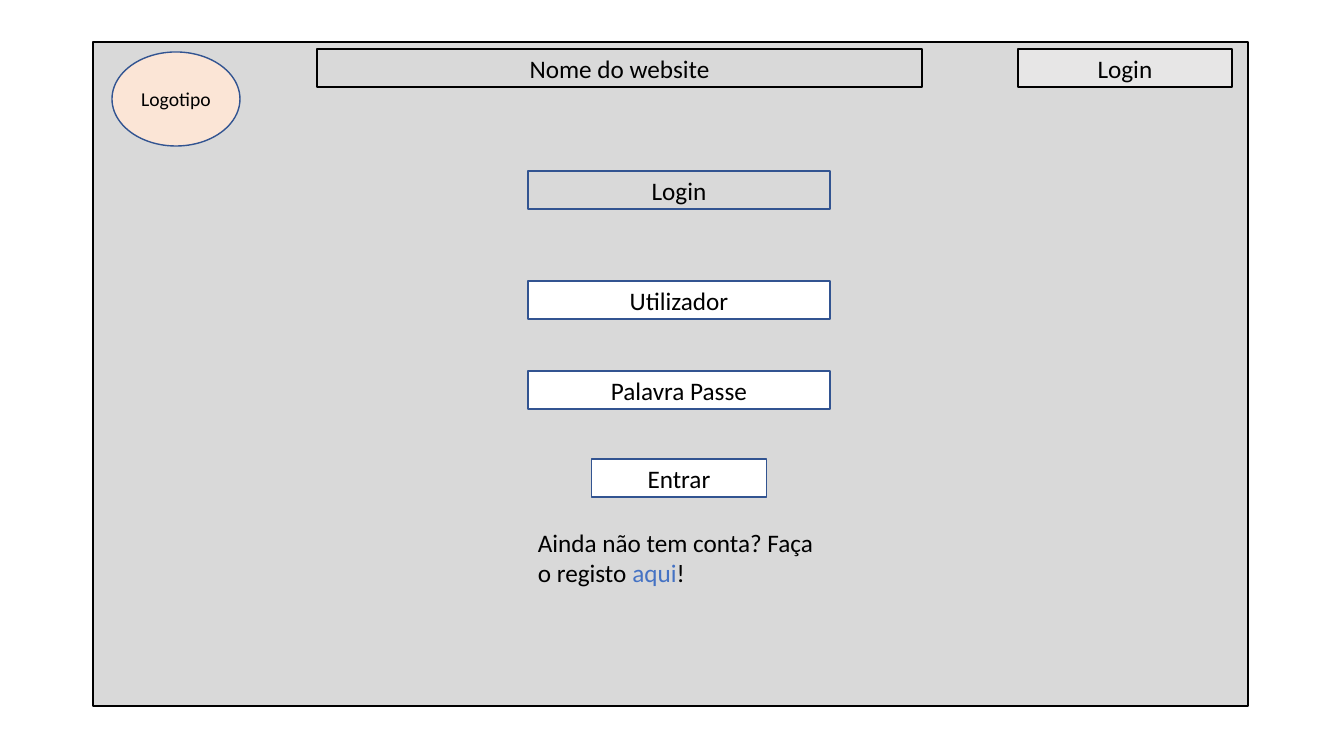
from pptx import Presentation
from pptx.dml.color import RGBColor
from pptx.enum.shapes import MSO_SHAPE
from pptx.enum.text import MSO_ANCHOR, MSO_AUTO_SIZE, PP_ALIGN
from pptx.util import Pt

RECT, OVAL = MSO_SHAPE.RECTANGLE, MSO_SHAPE.OVAL
MIDDLE, CENTER, LEFT = MSO_ANCHOR.MIDDLE, PP_ALIGN.CENTER, PP_ALIGN.LEFT
GROW = MSO_AUTO_SIZE.SHAPE_TO_FIT_TEXT

# Content
BLACK, WHITE, BLUE, LINK = "000000", "FFFFFF", "325491", "4472C4"
PAGE = (93, 42, 1155, 664)
BAR_HEIGHT = 38
HEADER_TOP = 49
HEADER = [  # label, left, width, fill
    ("Login", 1018, 214, "E7E6E6"),
    ("Nome do website", 317, 605, None),
]
FORM_CENTER, FORM_WIDTH = 679, 302
FORM = [  # label, top, width, fill
    ("Login", 171, FORM_WIDTH, None),
    ("Utilizador", 281, FORM_WIDTH, WHITE),
    ("Palavra Passe", 371, FORM_WIDTH, WHITE),
    ("Entrar", 459, 175, WHITE),
]
SIGN_UP_TOP, SIGN_UP_HEIGHT = 522, 72
SIGN_UP = [("Ainda não tem conta? Faça o registo ", BLACK), ("aqui", LINK), ("!", BLACK)]
EMBLEM = ("Logotipo", (112, 52, 128, 94), "FBE5D6")

# Scale and slide
PX = 914400 / 100.8
prs = Presentation()
prs.slide_width, prs.slide_height = round(1344 * PX), round(756 * PX)
slide = prs.slides.add_slide(prs.slide_layouts[6])


def emu(box):
    return [round(length * PX) for length in box]


def rgb(color):
    return RGBColor.from_string(color)


def write(paragraph, runs, size, align):
    paragraph.alignment = align
    for words, color in runs:
        run = paragraph.add_run()
        run.text = words
        for name, value in {"name": "Calibri", "size": Pt(size)}.items():
            setattr(run.font, name, value)
        run.font.color.rgb = rgb(color)


def add_block(kind, box, fill, line, label=None, size=18):
    block = slide.shapes.add_shape(kind, *emu(box))
    block.shadow.inherit = False
    if fill:
        block.fill.solid()
        block.fill.fore_color.rgb = rgb(fill)
    else:
        block.fill.background()
    block.line.color.rgb = rgb(line)
    block.line.width = Pt(1)
    if label:
        block.text_frame.vertical_anchor = MIDDLE
        write(block.text_frame.paragraphs[0], [(label, BLACK)], size, CENTER)


# Page and header
add_block(RECT, PAGE, "D9D9D9", BLACK)
for label, left, width, fill in HEADER:
    add_block(RECT, (left, HEADER_TOP, width, BAR_HEIGHT), fill, BLACK, label)

# Login form, centred on one axis
for label, top, width, fill in FORM:
    add_block(RECT, (FORM_CENTER - width / 2, top, width, BAR_HEIGHT), fill, BLUE, label)

# Sign-up prompt
prompt = slide.shapes.add_textbox(
    *emu((FORM_CENTER - FORM_WIDTH / 2, SIGN_UP_TOP, FORM_WIDTH, SIGN_UP_HEIGHT)))
for name, value in {"word_wrap": True, "auto_size": GROW}.items():
    setattr(prompt.text_frame, name, value)
write(prompt.text_frame.paragraphs[0], SIGN_UP, 18, LEFT)

# Emblem placeholder
emblem_label, emblem_box, emblem_fill = EMBLEM
add_block(OVAL, emblem_box, emblem_fill, BLUE, emblem_label, 14)

prs.save("out.pptx")
